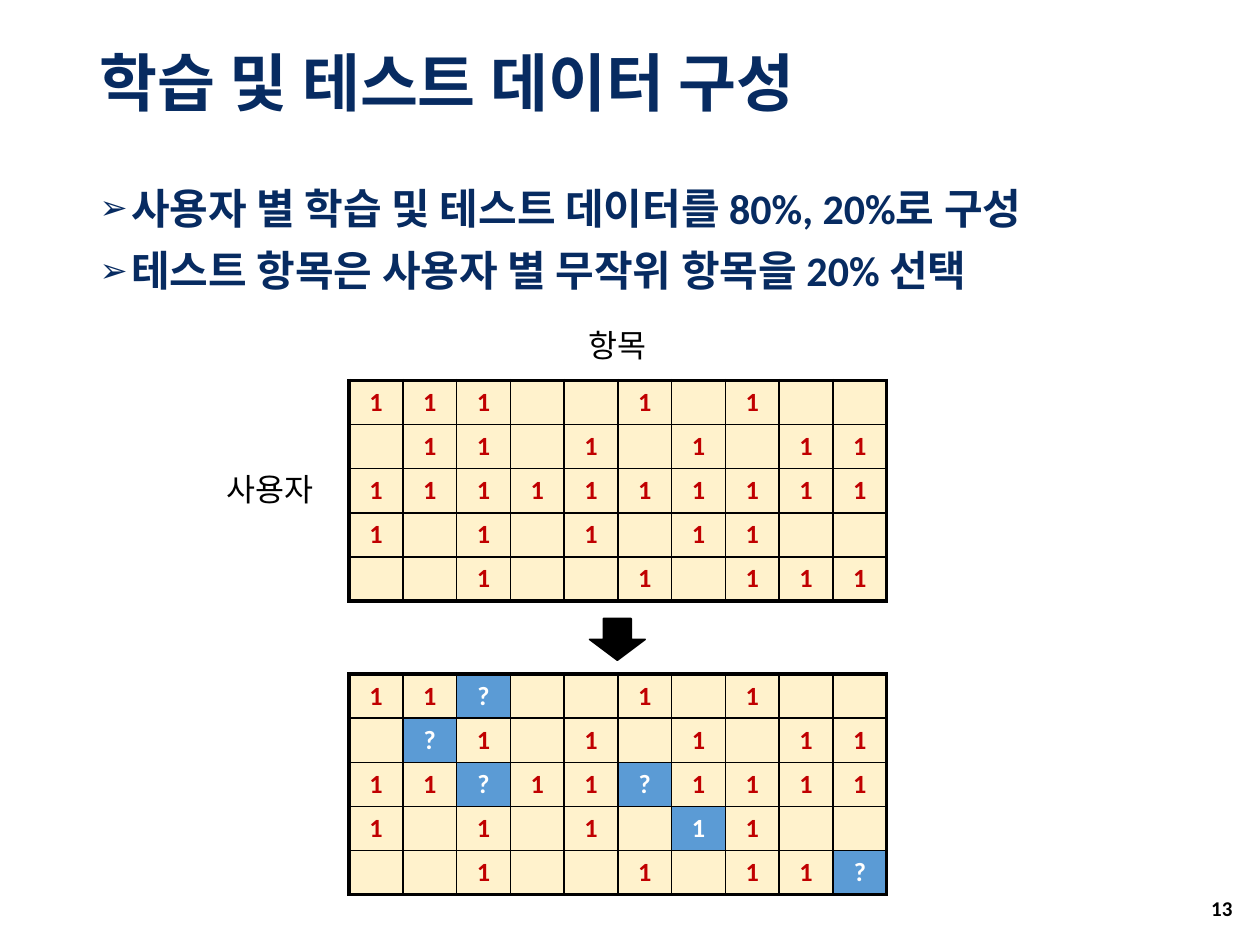
"""Build the slide on splitting user ratings into training and test data."""
import pptx
import pptx.util
import pptx.dml.color
import pptx.enum.shapes
import pptx.enum.text
import pptx.oxml
import pptx.oxml.ns

Inches, Pt = pptx.util.Inches, pptx.util.Pt
Align, Anchor = pptx.enum.text.PP_ALIGN, pptx.enum.text.MSO_ANCHOR
COLORS = {"navy": "072B61", "black": "000000", "red": "C00000",
          "white": "FFFFFF", "cream": "FFF2CC", "blue": "5B9BD5"}
NS = pptx.oxml.ns.nsdecls("a")


def rgb(name):
    return pptx.dml.color.RGBColor.from_string(COLORS[name])


def style(para, size, color, bold, align):
    para.alignment = align
    font = para.font
    font.name, font.size, font.bold = "Calibri", Pt(size), bold
    font.color.rgb = rgb(color)


deck = pptx.Presentation()
deck.slide_width, deck.slide_height = Inches(10), Inches(7.5)
slide = deck.slides.add_slide(deck.slide_layouts[1])
shapes = slide.shapes

title, body = shapes.title, slide.placeholders[1]
for holder, top, height in ((title, 0.18, 1.01), (body, 1.44, 5.44)):
    holder.left, holder.top = Inches(0.69), Inches(top)
    holder.width, holder.height = Inches(8.62), Inches(height)
    holder.text_frame.auto_size = pptx.enum.text.MSO_AUTO_SIZE.NONE

title.text_frame.text = "학습 및 테스트 데이터 구성"
title.text_frame.vertical_anchor = Anchor.MIDDLE
head = title.text_frame.paragraphs[0]
head.line_spacing = 0.9
style(head, 36, "navy", True, Align.LEFT)

body.text_frame.text = ("사용자 별 학습 및 테스트 데이터를 80%, 20%로 구성\n"
                        "테스트 항목은 사용자 별 무작위 항목을 20% 선택")
for para in body.text_frame.paragraphs:
    para.line_spacing, para.space_before = 0.9, Pt(10)
    props = para._p.get_or_add_pPr()
    props.set("marL", str(Inches(0.25)))
    props.set("indent", str(-Inches(0.25)))
    for tag in ('buSzPct {} val="80000"', 'buChar {} char="➢"'):
        props.append(pptx.oxml.parse_xml(f"<a:{tag.format(NS)}/>"))
    style(para, 24, "navy", True, Align.LEFT)

before = ["111..1.1..", ".11.1.1.11", "1111111111", "1.1.1.11..", "..1..1.111"]
after = ["11?..1.1..", ".?1.1.1.11", "11?11?1111", "1.1.1.11..", "..1..1.11?"]
tests = {(0, 2), (1, 1), (2, 2), (2, 5), (3, 6), (4, 9)}
for top, grid, marks in ((5.35, after, tests), (3.02, before, set())):
    rows, cols = len(grid), len(grid[0])
    frame = shapes.add_table(rows, cols, Inches(2.77), Inches(top),
                             Inches(4.27), Inches(0.35 * rows))
    table = frame.table
    table.first_row = table.horz_banding = False
    for r, line in enumerate(grid):
        for c, mark in enumerate(line):
            cell, test = table.cell(r, c), (r, c) in marks
            cell.vertical_anchor = Anchor.MIDDLE
            cell.margin_left = cell.margin_right = Inches(0.09)
            cell.margin_top = cell.margin_bottom = Inches(0.04)
            cell.fill.solid()
            cell.fill.fore_color.rgb = rgb("blue" if test else "cream")
            if mark != ".":
                cell.text_frame.text = mark
            style(cell.text_frame.paragraphs[0], 15,
                  "white" if test else "red", True, Align.CENTER)
            outer = {"L": c == 0, "R": c == cols - 1,
                     "T": r == 0, "B": r == rows - 1}
            for i, (side, edge) in enumerate(outer.items()):
                width = Pt(2.25 if edge else 1)
                cell._tc.get_or_add_tcPr().insert(i, pptx.oxml.parse_xml(
                    f'<a:ln{side} {NS} w="{width}"><a:solidFill>'
                    f'<a:srgbClr val="{COLORS["black"]}"/></a:solidFill></a:ln{side}>'))

arrow = shapes.add_shape(pptx.enum.shapes.MSO_SHAPE.DOWN_ARROW, Inches(4.68),
                         Inches(4.91), Inches(0.44), Inches(0.33))
arrow.shadow.inherit = False
arrow.fill.solid()
arrow.fill.fore_color.rgb = arrow.line.color.rgb = rgb("black")
arrow.line.width = Pt(1)

labels = (("사용자", 1.57, 3.68, 1.14, 18, False, Align.CENTER, Anchor.TOP),
          ("항목", 4.33, 2.54, 1.14, 18, False, Align.CENTER, Anchor.TOP),
          ("13", 9.36, 7.01, 0.52, 12, True, Align.RIGHT, Anchor.MIDDLE))
for text, left, top, width, size, bold, align, anchor in labels:
    box = shapes.add_textbox(Inches(left), Inches(top), Inches(width), Inches(0.4))
    box.text_frame.word_wrap = True
    box.text_frame.vertical_anchor = anchor
    box.text_frame.text = text
    style(box.text_frame.paragraphs[0], size, "black", bold, align)

deck.save("out.pptx")
